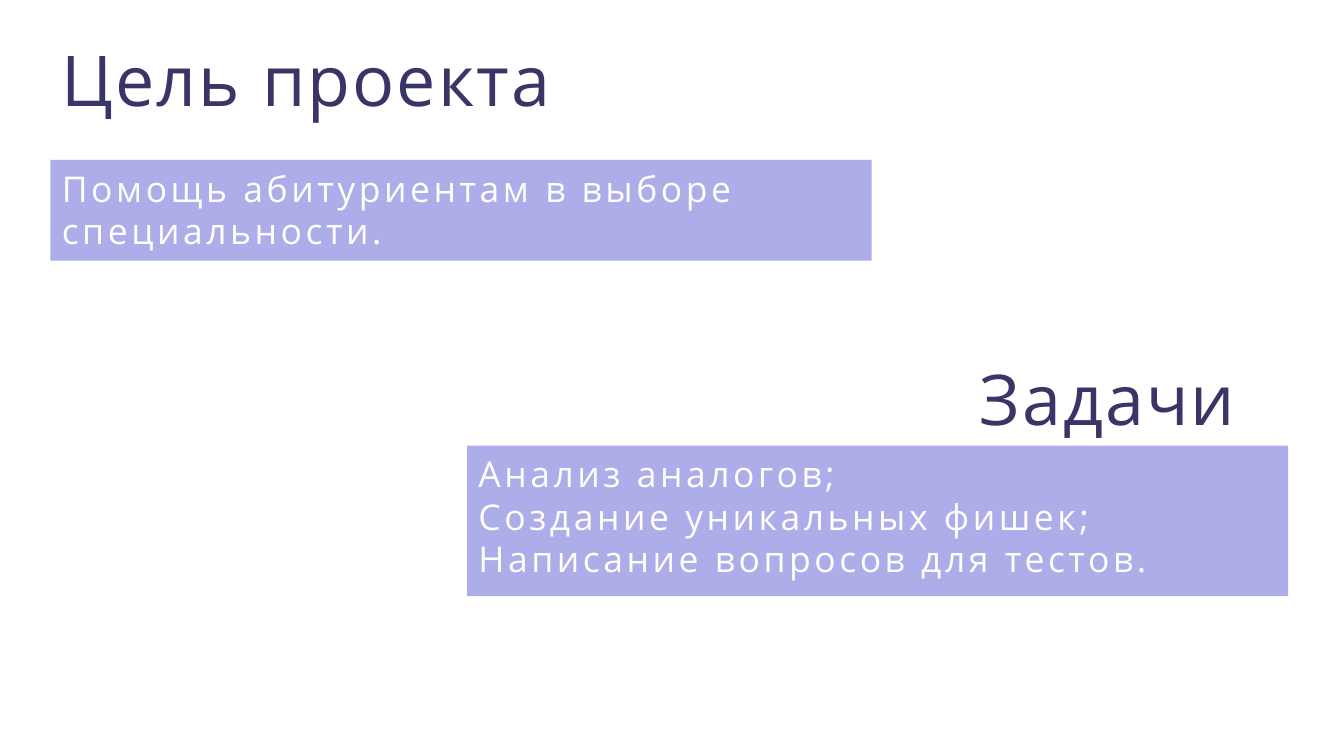
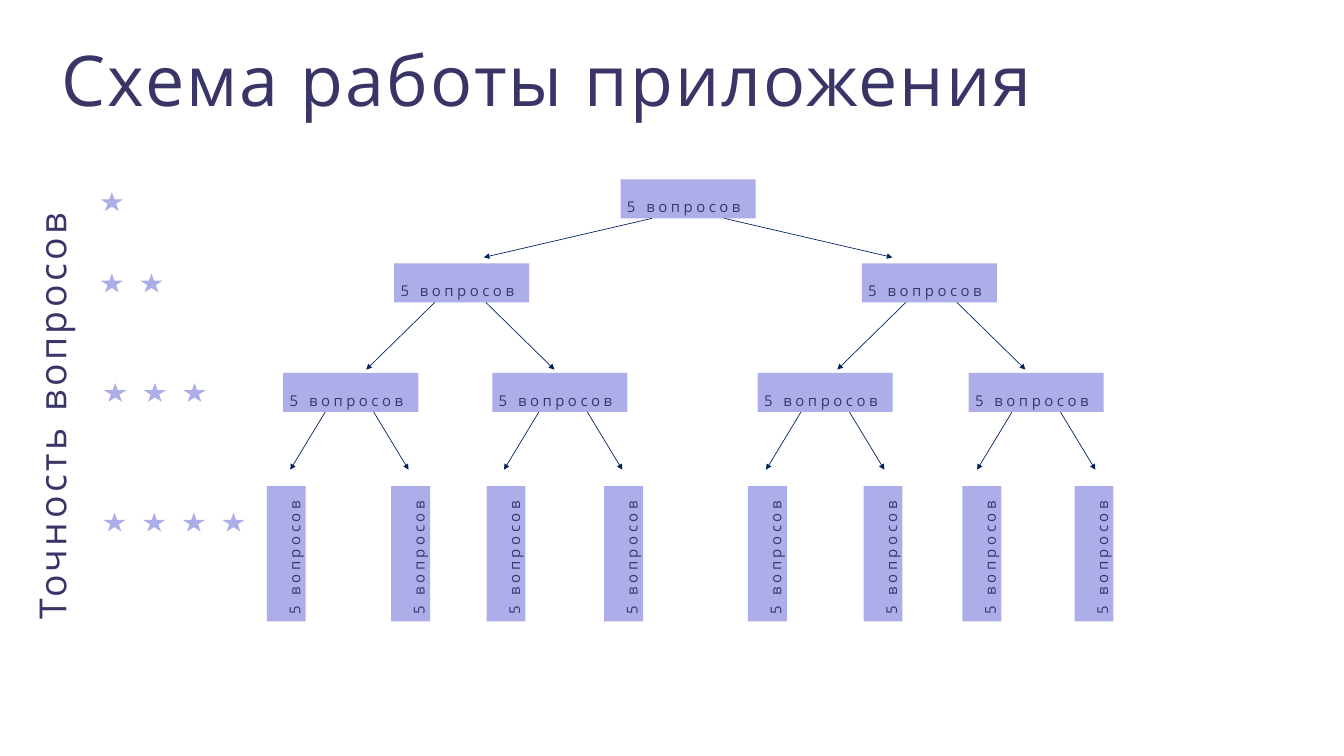
"""Builds two slides: the project's goal and tasks, and the tree of question rounds."""
from lxml import etree
from pptx import Presentation, util as u
from pptx.dml.color import RGBColor
from pptx.enum import shapes, text
from pptx.oxml.ns import qn

WIDTH, HEIGHT = 20, 11.25
FONT = "Open Sans"
INK, LILAC, CREAM, NAVY = "393667", "ADADE9", "FFFEFB", "002060"
HEADING = dict(size=75, spacing=2.2, leading=90)
BODY = dict(size=38, color=CREAM, grow=False, margins=(0.17, 0.1, 0.72, 0))

GOAL = ["Помощь абитуриентам в выборе специальности."]
TASKS = ["Анализ аналогов;", "Создание уникальных фишек;", "Написание вопросов для тестов."]
BANDS = [(GOAL, (0.75, 2.38, 12.22, 1.5)), (TASKS, (6.95, 6.63, 12.22, 2.24))]

NODE_TEXT = "5 вопросов"
NODE_SIZE, LABEL_SIZE, LABEL_SHIFT = (2.01, 0.58), (1.82, 0.56), 0.1
LEVELS = [
    dict(y=2.96, nodes=[10.24], forks=[10.24], half_gap=0.54, run=2.5, drop=0.58),
    dict(y=4.21, nodes=[6.87, 13.83], forks=[6.85, 13.86], half_gap=0.38, run=1.02, drop=1),
    dict(y=5.84, nodes=[5.22, 8.33, 12.28, 15.42], forks=[5.2, 8.38, 12.28, 15.42],
         half_gap=0.36, run=0.52, drop=0.86),
    dict(y=8.24, nodes=[4.26, 6.11, 7.53, 9.28, 11.42, 13.14, 14.61, 16.28], forks=[], turn=270),
]
STAR_ROWS = [(1.5, 2.86), (1.5, 4.07), (1.55, 5.7), (1.54, 7.63)]
STAR_SIZE, STAR_PITCH = (0.33, 0.28), 0.59


def rgb(value):
    return RGBColor.from_string(value)


def place(box, area):
    box.left, box.top, box.width, box.height = (u.Inches(length) for length in area)


def centred(x, y, size):
    return x - size[0] / 2, y - size[1] / 2, *size


def write(box, lines, size=16, color=INK, spacing=3.8, leading=45.6, align="LEFT",
          margins=(0, 0, 0, 0), grow=True):
    frame = box.text_frame
    frame.word_wrap = True
    frame.auto_size = (text.MSO_AUTO_SIZE.SHAPE_TO_FIT_TEXT if grow
                       else text.MSO_AUTO_SIZE.NONE)
    frame.vertical_anchor = text.MSO_ANCHOR.TOP
    for side, margin in zip(("left", "top", "right", "bottom"), margins):
        setattr(frame, f"margin_{side}", u.Inches(margin))
    for index, line in enumerate(lines):
        para = frame.add_paragraph() if index else frame.paragraphs[0]
        para.alignment = getattr(text.PP_ALIGN, align)
        para.line_spacing = u.Pt(leading)
        para.space_before = u.Pt(0)
        span = para.add_run()
        span.text = line
        span.font.name, span.font.size = FONT, u.Pt(size)
        span.font.color.rgb = rgb(color)
        span.font._element.set("spc", str(round(spacing * 100)))


def add_text(page, lines, area, turn=0, **style):
    box = page.shapes.add_textbox(0, 0, 0, 0)
    place(box, area)
    box.rotation = turn
    write(box, lines, **style)


def add_block(page, kind, area, turn=0):
    block = page.shapes.add_shape(kind, 0, 0, 0, 0)
    place(block, area)
    block.rotation = turn
    block.shadow.inherit = False
    block.fill.solid()
    block.fill.fore_color.rgb = rgb(LILAC)
    block.line.fill.background()


def add_arrow(page, *ends):
    arrow = page.shapes.add_connector(shapes.MSO_CONNECTOR.STRAIGHT,
                                      *(u.Inches(end) for end in ends))
    arrow.line.color.rgb = rgb(NAVY)
    arrow.line.width = u.Pt(0.75)
    properties = arrow._element.spPr
    etree.SubElement(properties.find(qn("a:ln")), qn("a:tailEnd"), type="triangle")
    etree.SubElement(properties, qn("a:effectLst"))


def add_page(deck, layout, title, width):
    page = deck.slides.add_slide(deck.slide_layouts.get_by_name(layout))
    place(page.shapes.title, (0.92, 0.55, width, 1.26))
    write(page.shapes.title, [title], **HEADING)
    return page


def add_band(box, lines, area):
    place(box, area)
    box.fill.solid()
    box.fill.fore_color.rgb = rgb(LILAC)
    write(box, lines, **BODY)
    for para in box.text_frame.paragraphs:
        properties = para._p.get_or_add_pPr()
        properties.set("marL", "0")
        properties.set("indent", "0")
        etree.SubElement(properties, qn("a:buNone"))


def add_node(page, x, y, turn):
    add_block(page, shapes.MSO_SHAPE.RECTANGLE, centred(x, y, NODE_SIZE), turn)
    if turn:
        x -= LABEL_SHIFT
    else:
        y -= LABEL_SHIFT
    add_text(page, [NODE_TEXT], centred(x, y, LABEL_SIZE), turn)


def add_level(page, y, nodes, forks, half_gap=0, run=0, drop=0, turn=0):
    for x in nodes:
        add_node(page, x, y, turn)
    top = y + NODE_SIZE[1] / 2
    for x in forks:
        for side in (-1, 1):
            start = x + side * half_gap
            add_arrow(page, start, top, start + side * run, top + drop)


def build_goals(deck):
    page = add_page(deck, "Two Content", "Цель проекта", 15)
    for index, (lines, area) in enumerate(BANDS, 1):
        add_band(page.placeholders[index], lines, area)
    add_text(page, ["Задачи"], (14.58, 5.29, 4.58, 1.26), **HEADING)


def build_scheme(deck):
    page = add_page(deck, "Title Only", "Схема работы приложения", 16.92)
    add_text(page, ["Точность вопросов"], (-2.82, 5.87, 7.22, 0.65), 270, size=40, align="CENTER")
    for level in LEVELS:
        add_level(page, **level)
    for count, (left, top) in enumerate(STAR_ROWS, 1):
        for column in range(count):
            area = (left + column * STAR_PITCH, top, *STAR_SIZE)
            add_block(page, shapes.MSO_SHAPE.STAR_5_POINT, area)


def main():
    deck = Presentation()
    deck.slide_width, deck.slide_height = u.Inches(WIDTH), u.Inches(HEIGHT)
    build_goals(deck)
    build_scheme(deck)
    deck.save("out.pptx")


if __name__ == "__main__":
    main()
